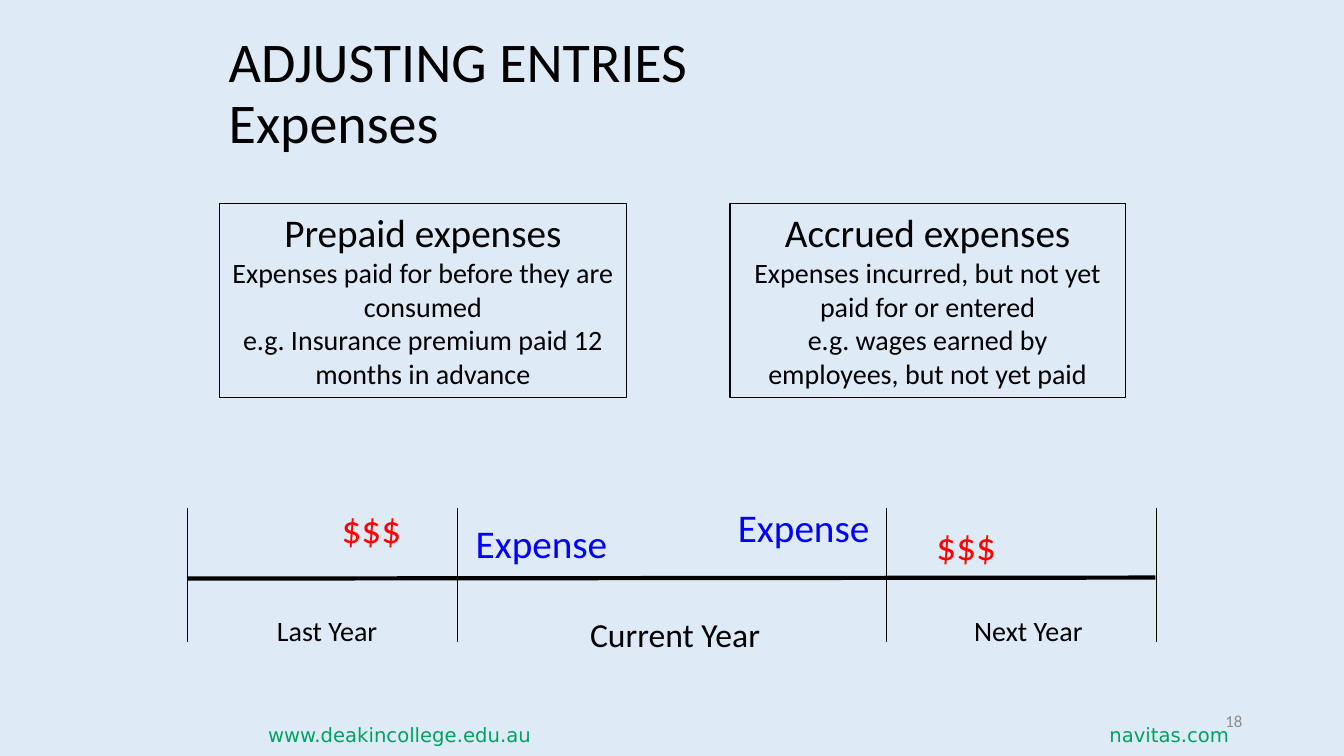
from lxml import etree
from pptx import Presentation
from pptx.dml.color import RGBColor
from pptx.enum.shapes import MSO_CONNECTOR, MSO_SHAPE
from pptx.enum.text import MSO_ANCHOR, PP_ALIGN
from pptx.oxml.ns import qn
from pptx.util import Inches, Pt

LEFT, CENTER, RIGHT = PP_ALIGN.LEFT, PP_ALIGN.CENTER, PP_ALIGN.RIGHT
TOP, MIDDLE = MSO_ANCHOR.TOP, MSO_ANCHOR.MIDDLE
RECTANGLE, STRAIGHT = MSO_SHAPE.RECTANGLE, MSO_CONNECTOR.STRAIGHT

COLORS = {
    "background": "DEEBF7",
    "text": "000000",
    "footer": "00A160",
    "number": "8C8C8C",
    "cash": "FF0000",
    "expense": "0000FF",
}
BODY_FONT, FOOTER_FONT = "Calibri", "DejaVu Sans"


def color(name):
    return RGBColor.from_string(COLORS[name])


def format_paragraph(paragraph, size, color_name, align, font=BODY_FONT):
    paragraph.alignment = align
    for run in paragraph.runs:
        run.font.size = Pt(size)
        run.font.name = font
        run.font.color.rgb = color(color_name)


def add_text(slide, box, text, size, color_name="text", align=LEFT,
             font=BODY_FONT, anchor=TOP, wrap=True):
    shape = slide.shapes.add_textbox(*map(Inches, box))
    frame = shape.text_frame
    frame.word_wrap = wrap
    frame.vertical_anchor = anchor
    frame.text = text
    format_paragraph(frame.paragraphs[0], size, color_name, align, font)
    return shape


def add_definition(slide, left, width, heading, meaning, example):
    shape = slide.shapes.add_shape(
        RECTANGLE, Inches(left), Inches(2.02), Inches(width), Inches(1.92))
    shape.shadow.inherit = False
    shape.fill.background()
    shape.line.color.rgb = color("text")
    shape.line.width = Pt(0.75)
    frame = shape.text_frame
    frame.word_wrap = True
    frame.vertical_anchor = TOP
    frame.text = "\n".join((heading, meaning, example))
    for paragraph, size in zip(frame.paragraphs, (28, 20, 20)):
        format_paragraph(paragraph, size, "text", CENTER)


def add_line(slide, start, end, width):
    line = slide.shapes.add_connector(
        STRAIGHT, *map(Inches, (*start, *end)))
    line.line.color.rgb = color("text")
    line.line.width = Pt(width)
    etree.SubElement(line._element.spPr, qn("a:effectLst"))


def add_timeline(slide):
    # Axis and year boundaries
    add_line(slide, (1.86, 5.74), (11.46, 5.73), 3)
    for x in (1.86, 4.54, 8.79, 11.47):
        add_line(slide, (x, 5.04), (x, 6.37), 0.75)

    # Year names
    for left, width, height, name, size in (
            (2.26, 1.97, 0.43, "Last Year", 20),
            (5.17, 3.05, 0.5, "Current Year", 24),
            (9.27, 1.86, 0.43, "Next Year", 20)):
        add_text(slide, (left, 6.04, width, height), name, size, align=CENTER)

    # Payments and the expenses they belong to
    for left, top, width, label, color_name in (
            (3.29, 4.95, 0.8, "$$$", "cash"),
            (4.62, 5.1, 1.52, "Expense", "expense"),
            (7.22, 4.94, 1.52, "Expense", "expense"),
            (9.19, 5.12, 0.8, "$$$", "cash")):
        add_text(slide, (left, top, width, 0.57), label, 28, color_name,
                 wrap=False)


def add_footer(slide):
    add_text(slide, (2.56, 7.12, 3.01, 0.34), "www.deakincollege.edu.au", 14,
             "footer", font=FOOTER_FONT)
    add_text(slide, (10.82, 7.12, 1.47, 0.34), "navitas.com", 14, "footer",
             RIGHT, FOOTER_FONT)
    add_text(slide, (9.42, 6.95, 3, 0.4), "18", 12, "number", RIGHT,
             anchor=MIDDLE)


def main():
    presentation = Presentation()
    presentation.slide_width = Inches(13.33)
    presentation.slide_height = Inches(7.5)
    slide = presentation.slides.add_slide(presentation.slide_layouts[6])
    slide.background.fill.solid()
    slide.background.fill.fore_color.rgb = color("background")

    # Title
    title = add_text(slide, (2.17, 0.13, 7.96, 1.62),
                     "ADJUSTING ENTRIES\vExpenses", 40, anchor=MIDDLE)
    title.text_frame.paragraphs[0].line_spacing = 0.9

    # Two kinds of expense
    add_definition(slide, 2.18, 4.03, "Prepaid expenses",
                   "Expenses paid for before they are consumed",
                   "e.g. Insurance premium paid 12 months in advance")
    add_definition(slide, 7.24, 3.92, "Accrued expenses",
                   "Expenses incurred, but not yet paid for or entered",
                   "e.g. wages earned by employees, but not yet paid")

    add_timeline(slide)
    add_footer(slide)
    presentation.save("out.pptx")


if __name__ == "__main__":
    main()
